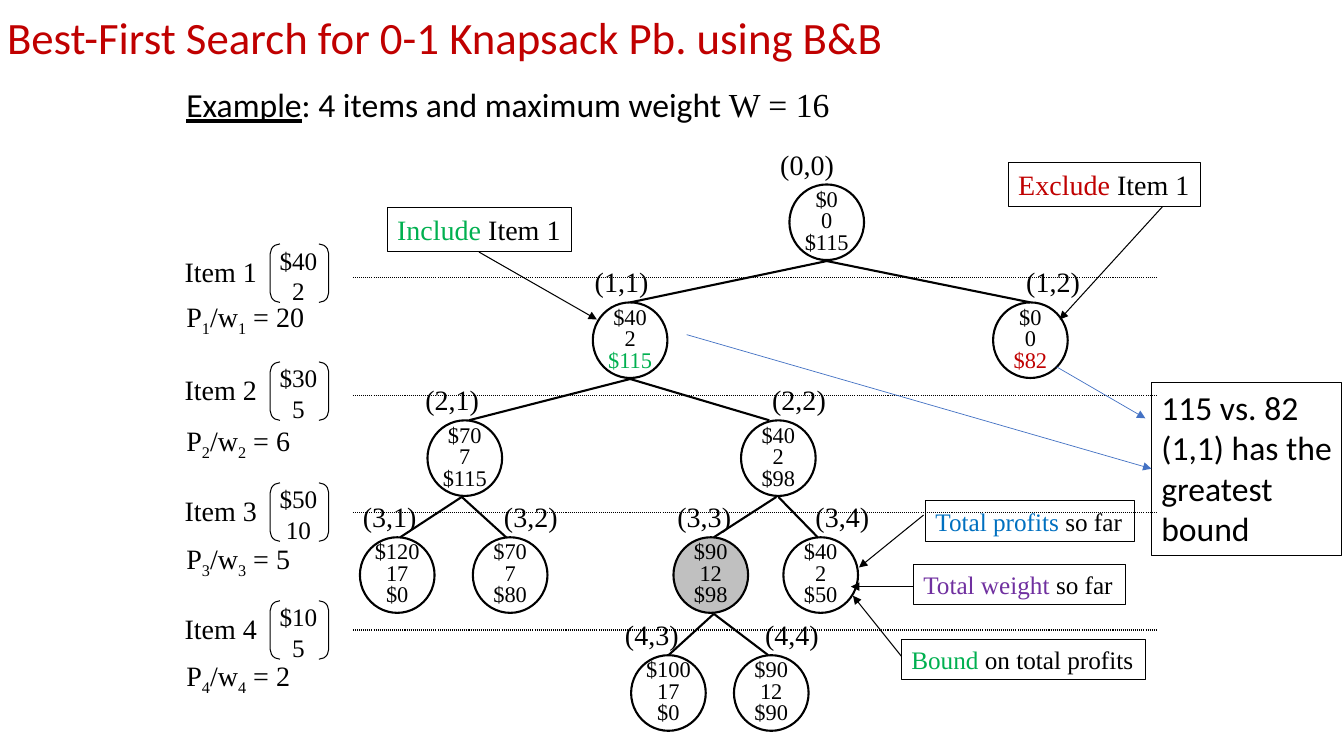
from lxml.etree import SubElement
from pptx import Presentation
from pptx.dml.color import RGBColor
from pptx.enum.dml import MSO_LINE
from pptx.enum.shapes import MSO_CONNECTOR, MSO_SHAPE
from pptx.enum.text import MSO_ANCHOR as Anchor, MSO_AUTO_SIZE as AutoSize, PP_ALIGN as Align
from pptx.oxml.ns import qn
from pptx.util import Pt

EMU_PER_PX = 9144
BLACK = RGBColor(0x00, 0x00, 0x00)
RED = RGBColor(0xC0, 0x00, 0x00)
GREEN = RGBColor(0x00, 0xB0, 0x50)
BLUE = RGBColor(0x00, 0x70, 0xC0)
PURPLE = RGBColor(0x70, 0x30, 0xA0)
ARROW_BLUE = RGBColor(0x44, 0x72, 0xC4)
GREY = RGBColor(0xC0, 0xC0, 0xC0)
SANS, SERIF = "Calibri", "Times New Roman"

ITEMS = [("$40", "2", "20", 0, 54), ("$30", "5", "6", 117, 60),
         ("$50", "10", "5", 237, 57), ("$10", "5", "2", 354, 56)]

NODES = [
    ("(0,0)", 0, 433, 414, ("$0", "0", "$115"), BLACK),
    ("(1,1)", 1, 238, 230, ("$40", "2", "$115"), GREEN),
    ("(1,2)", 1, 635, 658, ("$0", "0", "$82"), RED),
    ("(2,1)", 2, 74, 62, ("$70", "7", "$115"), BLACK),
    ("(2,2)", 2, 385, 406, ("$40", "2", "$98"), BLACK),
    ("(3,1)", 3, 7, 0, ("$120", "17", "$0"), BLACK),
    ("(3,2)", 3, 119, 140, ("$70", "7", "$80"), BLACK),
    ("(3,3)", 3, 318, 312, ("$90", "12", "$98"), BLACK),
    ("(3,4)", 3, 427, 449, ("$40", "2", "$50"), BLACK),
    ("(4,3)", 4, 276, 260, ("$100", "17", "$0"), BLACK),
    ("(4,4)", 4, 378, 399, ("$90", "12", "$90"), BLACK),
]
BRANCHES = [(0, 470, 275), (0, 470, 672), (1, 275, 115), (1, 275, 413),
            (2, 108, 47), (2, 108, 152), (2, 420, 358), (2, 422, 461),
            (3, 358, 313), (3, 358, 412)]
BEST_NODE = "(3,3)"

CALLOUTS = [
    ("Exclude", RED, " Item 1", 20, (616, 0, 191, 44), (769, 44, 667, 156)),
    ("Include", GREEN, " Item 1", 20, (0, 45, 183, 44), (91, 89, 208, 156)),
    ("Total profits ", BLUE, "so far", 18, (534, 336, 207, 40), (532, 350, 468, 402)),
    ("Total weight ", PURPLE, "so far", 18, (522, 399, 210, 40), (522, 421, 460, 421)),
    ("Bound", GREEN, " on total profits", 18, (510, 473, 242, 40), (510, 490, 462, 430)),
]


def px(*lengths):
    return [length * EMU_PER_PX for length in lengths]


def write(shape, lines, size, font=SERIF, align=Align.LEFT, spacing=None,
          anchor=Anchor.TOP, wrap=False, insets=(10, 5, 10, 5)):
    frame = shape.text_frame
    frame.word_wrap = wrap
    frame.vertical_anchor = anchor
    (frame.margin_left, frame.margin_top,
     frame.margin_right, frame.margin_bottom) = px(*insets)
    for index, spans in enumerate(lines):
        para = frame.add_paragraph() if index else frame.paragraphs[0]
        para.alignment = align
        if spacing:
            para.line_spacing = spacing
        for text, colour in spans:
            span = para.add_run()
            span.text = text
            span.font.size = Pt(size)
            span.font.name = font
            span.font.color.rgb = colour
    return frame


def add_label(page, bounds, lines, size, **style):
    label = page.shapes.add_textbox(*px(*bounds))
    frame = write(label, lines, size, **style)
    frame.auto_size = AutoSize.SHAPE_TO_FIT_TEXT
    return frame


def add_outline(page, kind, bounds, weight, fill=None):
    shape = page.shapes.add_shape(kind, *px(*bounds))
    shape.shadow.inherit = False
    if fill is None:
        shape.fill.background()
    else:
        shape.fill.solid()
        shape.fill.fore_color.rgb = fill
    shape.line.color.rgb = BLACK
    shape.line.width = Pt(weight)
    return shape


def add_line(page, ends, weight, colour=BLACK, arrow=False, dash=None):
    line = page.shapes.add_connector(MSO_CONNECTOR.STRAIGHT, *px(*ends))
    line.line.color.rgb = colour
    line.line.width = Pt(weight)
    if dash is not None:
        line.line.dash_style = dash
    if arrow:
        SubElement(line.line._get_or_add_ln(), qn("a:tailEnd"), type="triangle")
    SubElement(line._element.spPr, qn("a:effectLst"))


def place_heading(page, left, top):
    title = page.shapes.title
    title.left, title.top, title.width, title.height = px(left, top, 1000, 75)
    write(title, [[("Best-First Search for 0-1 Knapsack Pb. using B&B", RED)]], 32,
          font=SANS, spacing=0.9, anchor=Anchor.MIDDLE, wrap=True, insets=(2, 5, 2, 5))
    example = page.shapes.add_textbox(*px(left + 170, top + 81, 917, 58))
    frame = write(example, [[("Example", BLACK), (": 4 items and maximum weight ", BLACK),
                             ("W = 16", BLACK)]], 24, font=SANS, spacing=0.9, wrap=True)
    word, _, capacity = frame.paragraphs[0].runs
    word.font.underline = True
    capacity.font.name = SERIF


def place_items(page, left, top):
    for number, (profit, weight, ratio, offset, ratio_offset) in enumerate(ITEMS, 1):
        row = top + offset
        add_label(page, (left + 8, row + 13, 72, 36), [[(f"Item {number}", BLACK)]], 20,
                  insets=(0, 2, 0, 0))
        add_label(page, (left + 92, row, 58, 70), [[(profit, BLACK)], [(weight, BLACK)]],
                  18, align=Align.CENTER)
        add_outline(page, MSO_SHAPE.DOUBLE_BRACKET, (left + 93, row + 4, 58, 58), 0.75)
        parts = ("P", str(number), "/w", str(number), f" = {ratio}")
        frame = add_label(page, (left, row + ratio_offset, 140 if number == 1 else 126, 44),
                          [[(part, BLACK) for part in parts]], 20)
        for subscript in frame.paragraphs[0].runs[1:4:2]:
            subscript._r.get_or_add_rPr().set("baseline", "-25000")


def place_tree(page, left, top):
    levels = [top + 41 + round(116.75 * level) for level in range(5)]
    for level, start, end in BRANCHES:
        add_line(page, (left + start, levels[level] + 76, left + end, levels[level + 1]), 1.5)
    for name, level, node_left, name_left, values, bound_colour in NODES:
        node = add_outline(page, MSO_SHAPE.OVAL, (left + node_left, levels[level], 74, 75),
                           1.5, GREY if name == BEST_NODE else None)
        colours = (BLACK, BLACK, bound_colour)
        write(node, [[pair] for pair in zip(values, colours)], 16,
              align=Align.CENTER, spacing=0.8, anchor=Anchor.MIDDLE)
        add_label(page, (left + name_left, levels[level] - 42, 73, 43), [[(name, BLACK)]], 20)
    for level_top in levels[1:]:
        add_line(page, (left, level_top - 25, left + 797, level_top - 25), 0.75,
                 dash=MSO_LINE.ROUND_DOT)


def place_callouts(page, left, top):
    for keyword, colour, rest, size, (x, y, width, height), (x1, y1, x2, y2) in CALLOUTS:
        box = add_outline(page, MSO_SHAPE.RECTANGLE, (left + x, top + y, width, height), 0.75)
        write(box, [[(keyword, colour), (rest, BLACK)]], size)
        add_line(page, (left + x1, top + y1, left + x2, top + y2), 0.75, arrow=True)


def place_comparison(page, left, top):
    box = add_outline(page, MSO_SHAPE.RECTANGLE, (left, top, 189, 172), 0.75)
    write(box, [[("115 vs. 82", BLACK)], [("(1,1) has the greatest bound", BLACK)]], 24,
          font=SANS, wrap=True)
    for x1, y1, x2, y2 in ((-461, -47, 0, 86), (-94, -15, -6, 36)):
        add_line(page, (left + x1, top + y1, left + x2, top + y2), 0.5, ARROW_BLUE, arrow=True)


def main():
    deck = Presentation()
    deck.slide_width, deck.slide_height = px(1333, 750)
    page = deck.slides.add_slide(deck.slide_layouts[5])
    place_heading(page, 5, 2)
    place_items(page, 175, 238)
    place_tree(page, 350, 142)
    place_callouts(page, 384, 161)
    place_comparison(page, 1142, 379)
    deck.save("out.pptx")


if __name__ == "__main__":
    main()
